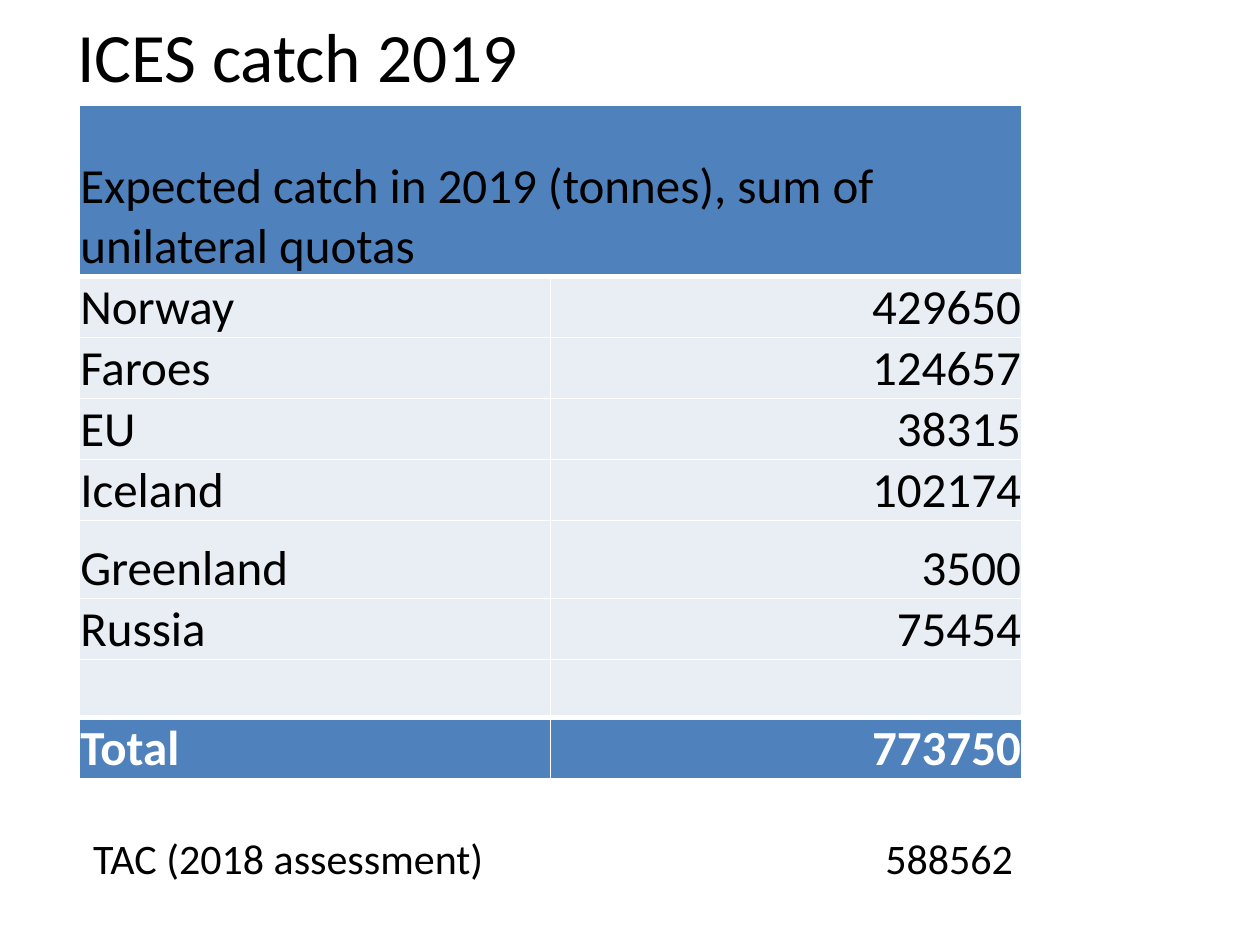
from dataclasses import dataclass

from lxml.etree import SubElement
from pptx import Presentation
from pptx.dml.color import RGBColor
from pptx.enum.text import MSO_ANCHOR, MSO_AUTO_SIZE, PP_ALIGN
from pptx.oxml.ns import qn
from pptx.util import Cm, Pt


@dataclass(frozen=True)
class Theme:
    font: str = "Calibri"
    ink: str = "000000"
    white: str = "FFFFFF"
    blue: str = "4F81BD"
    pale: str = "E9EDF4"
    title: float = 39.6
    cell: float = 28
    note: float = 24
    thin: float = 1
    thick: float = 3


@dataclass(frozen=True)
class Row:
    name: str
    catch: str = ""
    high: float = 1.18
    head: bool = False
    total: bool = False


@dataclass(frozen=True)
class Note:
    text: str
    left: float
    wide: float


THEME = Theme()
ROWS = [
    Row("Expected catch in 2019 (tonnes), sum of unilateral quotas", high=3.45, head=True),
    Row("Norway", "429650"),
    Row("Faroes", "124657"),
    Row("EU", "38315"),
    Row("Iceland", "102174"),
    Row("Greenland", "3500", high=1.57),
    Row("Russia", "75454"),
    Row(""),
    Row("Total", "773750", total=True),
]
NOTES = [
    Note("TAC (2018 assessment)", 1.63, 8.43),
    Note("588562", 17.6, 3.1),
]


def write(para, text: str, size: float, color: str = THEME.ink, bold: bool = False) -> None:
    run = para.add_run()
    run.text = text
    font = run.font
    font.name, font.size, font.bold = THEME.font, Pt(size), bold
    font.color.rgb = RGBColor.from_string(color)


def edge(cell, side: str, width: float) -> None:
    props = cell._tc.get_or_add_tcPr()
    line = SubElement(props, qn(f"a:ln{side}"), w=str(Pt(width)))
    fill = SubElement(line, qn("a:solidFill"))
    SubElement(fill, qn("a:srgbClr"), val=THEME.white)


def dress(cell, row: Row, above: bool, below: bool) -> None:
    cell.margin_left = cell.margin_right = cell.margin_top = Cm(0.02)
    cell.margin_bottom = 0
    cell.vertical_anchor = MSO_ANCHOR.BOTTOM
    # Borders come before the fill in the cell properties
    for side, heavy in (("L", False), ("R", False), ("T", above), ("B", below)):
        edge(cell, side, THEME.thick if heavy else THEME.thin)
    cell.fill.solid()
    tone = THEME.blue if row.head or row.total else THEME.pale
    cell.fill.fore_color.rgb = RGBColor.from_string(tone)


def draw_table(slide) -> None:
    high = sum(row.high for row in ROWS)
    frame = slide.shapes.add_table(len(ROWS), 2, Cm(1.6), Cm(2.13), Cm(19), Cm(high))
    table = frame.table
    table.horz_banding = False
    table.last_row = True
    for at, row in enumerate(ROWS):
        table.rows[at].height = Cm(row.high)
        above = row.total or (at > 0 and ROWS[at - 1].head)
        below = row.head or (at + 1 < len(ROWS) and ROWS[at + 1].total)
        for col, text in enumerate((row.name, row.catch)):
            cell = table.cell(at, col)
            dress(cell, row, above, below)
            para = cell.text_frame.paragraphs[0]
            para.alignment = PP_ALIGN.RIGHT if col else PP_ALIGN.LEFT
            if text:
                color = THEME.white if row.total else THEME.ink
                write(para, text, THEME.cell, color, row.total)
        if row.head:
            table.cell(at, 0).merge(table.cell(at, 1))


def draw_note(slide, note: Note) -> None:
    box = slide.shapes.add_textbox(Cm(note.left), Cm(16.66), Cm(note.wide), Cm(1.27))
    frame = box.text_frame
    frame.word_wrap = False
    frame.auto_size = MSO_AUTO_SIZE.SHAPE_TO_FIT_TEXT
    write(frame.paragraphs[0], note.text, THEME.note)


deck = Presentation()
deck.slide_width, deck.slide_height = Cm(25.4), Cm(19.05)
slide = deck.slides.add_slide(deck.slide_layouts[5])

# Title
title = slide.shapes.title
title.left, title.top, title.width, title.height = Cm(0.89), Cm(0.33), Cm(10.21), Cm(1.55)
title.text_frame.auto_size = MSO_AUTO_SIZE.NONE
title.text_frame.vertical_anchor = MSO_ANCHOR.MIDDLE
head = title.text_frame.paragraphs[0]
head.alignment = PP_ALIGN.CENTER
write(head, "ICES catch 2019", THEME.title)

# Catch by country
draw_table(slide)

# Advised catch under the table
for note in NOTES:
    draw_note(slide, note)

deck.save("out.pptx")
